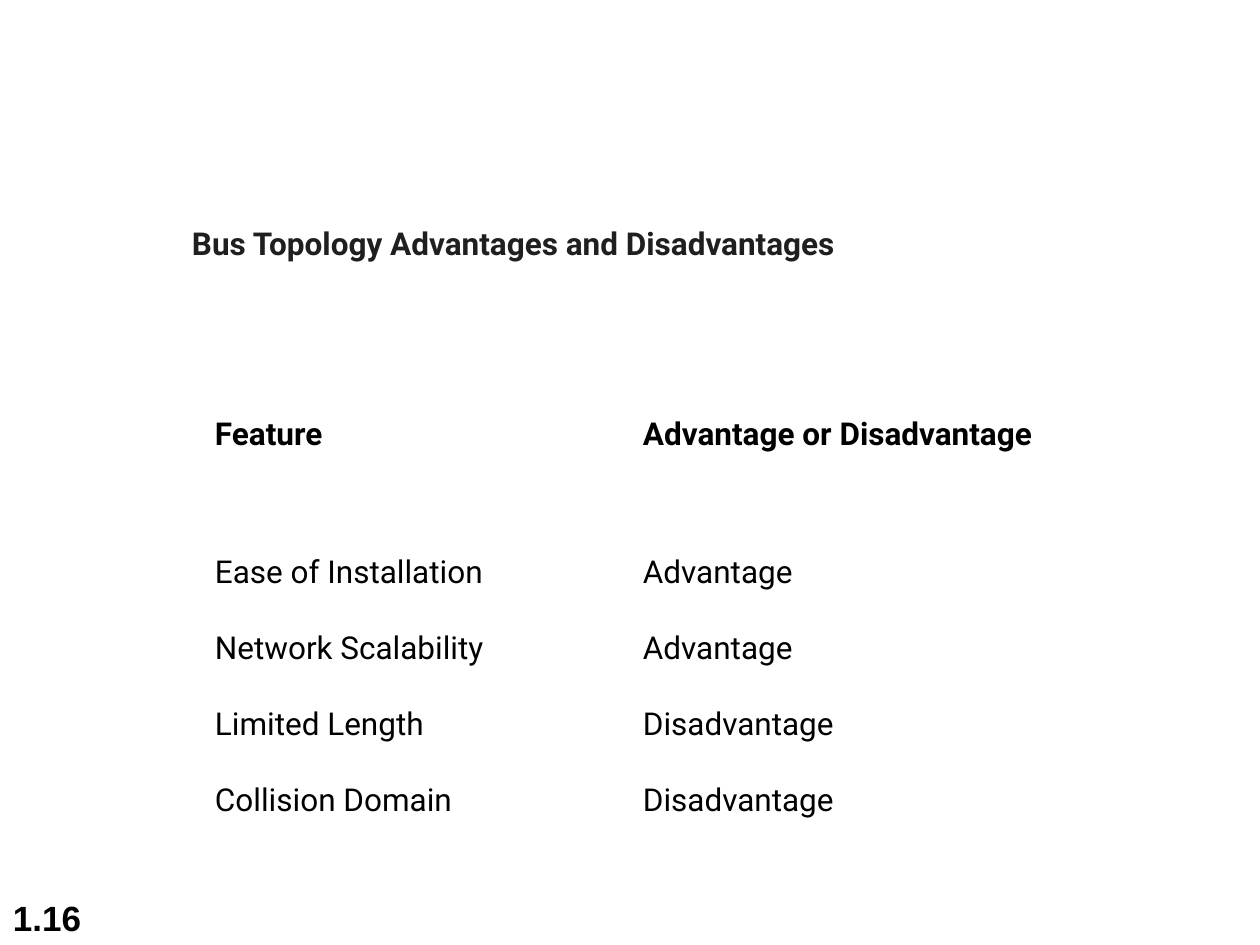
"""Build a slide that lists bus topology advantages and disadvantages."""
from dataclasses import dataclass
from typing import Any

import pptx
import pptx.dml.color
import pptx.enum.text
import pptx.util

PX = 914400 / 126
ANCHOR = pptx.enum.text.MSO_ANCHOR


@dataclass(frozen=True)
class Theme:
    ink: str = "000000"
    title_ink: str = "1F1F1F"
    paper: str = "FFFFFF"
    body_font: str = "Roboto"
    number_font: str = "Arial"
    body_size: int = 18
    number_size: int = 20


@dataclass(frozen=True)
class Box:
    left: int
    top: int
    width: int
    height: int


@dataclass(frozen=True)
class Feature:
    name: str
    verdict: str
    height: int = 76
    bold: bool = False
    anchor: Any = ANCHOR.MIDDLE


THEME = Theme()
TITLE_BOX = Box(179, 198, 723, 140)
TABLE_BOX = Box(202, 410, 856, 429)
NUMBER_BOX = Box(0, 882, 262, 63)
FEATURES = [
    Feature("Feature", "Advantage or Disadvantage", 125, True, ANCHOR.TOP),
    Feature("Ease of Installation", "Advantage"),
    Feature("Network Scalability", "Advantage"),
    Feature("Limited Length", "Disadvantage"),
    Feature("Collision Domain", "Disadvantage"),
]


def px(n: int) -> int:
    return round(n * PX)


def bounds(box: Box) -> tuple[int, int, int, int]:
    return px(box.left), px(box.top), px(box.width), px(box.height)


def set_attrs(target: Any, values: dict[str, Any]) -> None:
    for name, value in values.items():
        setattr(target, name, value)


def write(tf: Any, text: str, bold: bool = True, color: str = THEME.ink,
          font: str = THEME.body_font, size: int = THEME.body_size) -> None:
    p = tf.paragraphs[0]
    p.alignment = pptx.enum.text.PP_ALIGN.LEFT
    r = p.add_run()
    r.text = text
    set_attrs(r.font, {"name": font, "size": pptx.util.Pt(size), "bold": bold})
    r.font.color.rgb = pptx.dml.color.RGBColor.from_string(color)


def format_frame(tf: Any, anchor: Any, bottom: int = 6) -> None:
    set_attrs(tf, {
        "word_wrap": True,
        "auto_size": pptx.enum.text.MSO_AUTO_SIZE.NONE,
        "vertical_anchor": anchor,
        "margin_left": px(13), "margin_right": px(13),
        "margin_top": px(6), "margin_bottom": px(bottom),
    })


def add_title(s: Any, text: str) -> None:
    sp = s.shapes.title
    set_attrs(sp, dict(zip(("left", "top", "width", "height"), bounds(TITLE_BOX))))
    sp.fill.solid()
    sp.fill.fore_color.rgb = pptx.dml.color.RGBColor.from_string(THEME.paper)
    format_frame(sp.text_frame, ANCHOR.MIDDLE, bottom=57)
    write(sp.text_frame, text, color=THEME.title_ink)


def add_features(s: Any, features: list[Feature]) -> None:
    table = s.shapes.add_table(len(features), 2, *bounds(TABLE_BOX)).table
    set_attrs(table, {"first_row": False, "horz_banding": False})
    for row, feature in zip(table.rows, features):
        row.height = px(feature.height)
        for cell, text in zip(row.cells, (feature.name, feature.verdict)):
            cell.fill.background()
            set_attrs(cell, {
                "vertical_anchor": feature.anchor,
                "margin_left": px(13), "margin_right": px(13),
                "margin_top": px(6), "margin_bottom": px(6),
            })
            write(cell.text_frame, text, feature.bold)


def add_number(s: Any, text: str) -> None:
    tf = s.shapes.add_textbox(*bounds(NUMBER_BOX)).text_frame
    format_frame(tf, ANCHOR.BOTTOM)
    write(tf, text, font=THEME.number_font, size=THEME.number_size)


def main() -> None:
    prs = pptx.Presentation()
    set_attrs(prs, {"slide_width": px(1260), "slide_height": px(945)})
    s = prs.slides.add_slide(prs.slide_layouts[5])
    add_number(s, "1.16")
    add_features(s, FEATURES)
    add_title(s, "Bus Topology Advantages and Disadvantages")
    prs.save("out.pptx")


if __name__ == "__main__":
    main()
